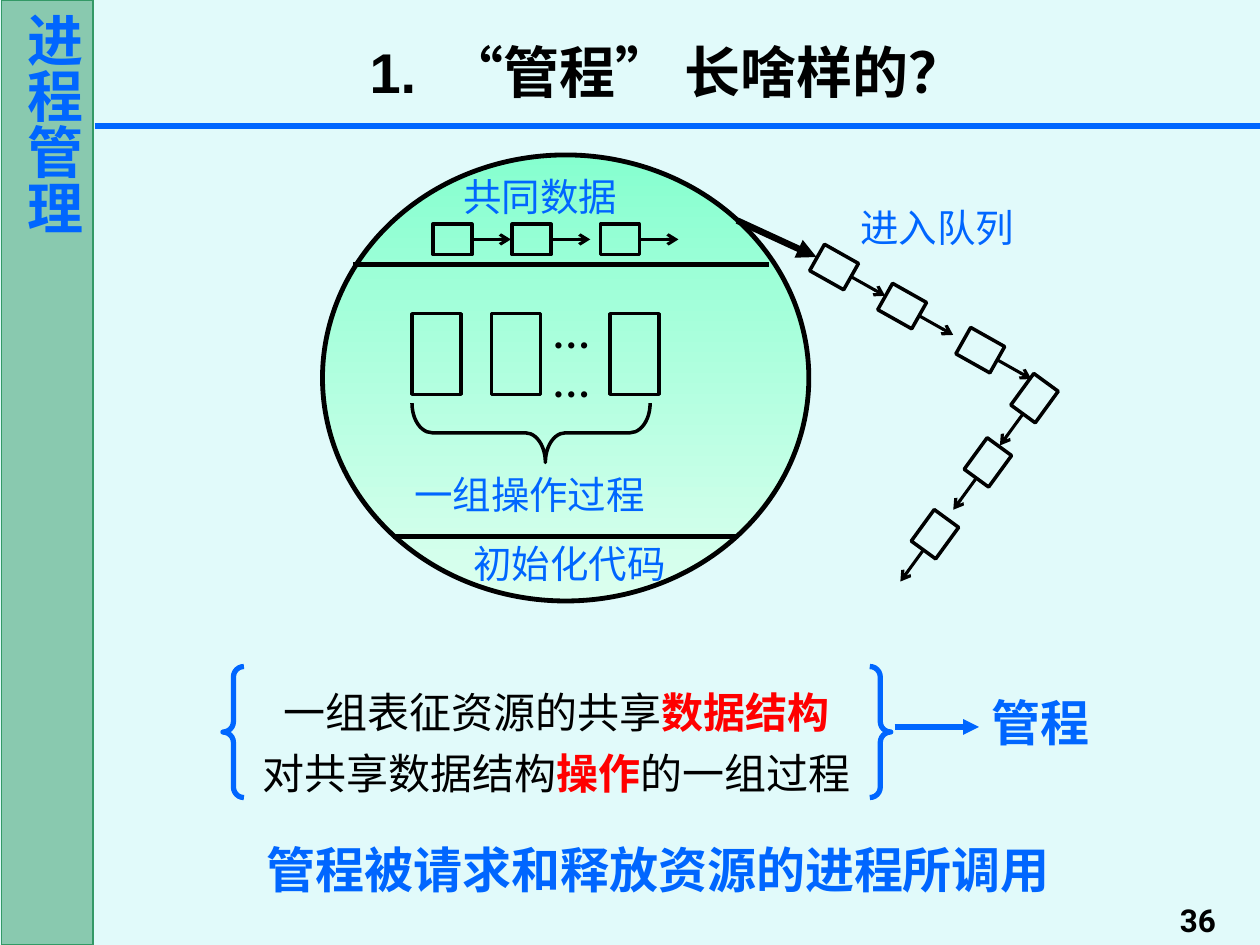
from dataclasses import dataclass
from math import cos, radians, sin
from typing import NamedTuple, Optional

from lxml.etree import SubElement
from pptx import Presentation
from pptx.dml.color import RGBColor
from pptx.enum.shapes import MSO_CONNECTOR, MSO_SHAPE
from pptx.enum.text import MSO_ANCHOR, PP_ALIGN
from pptx.oxml.ns import qn
from pptx.util import Inches, Pt


@dataclass(frozen=True)
class Theme:
    background: str = "E1FAFA"
    blue: str = "0066FF"
    black: str = "000000"
    red: str = "FF0000"
    green: str = "339966"
    gradient: tuple = ("86FFCF", "DCFFEF")
    cjk_font: str = "Noto Sans CJK SC"
    title_size: int = 32
    key_size: int = 28
    body_size: int = 24
    label_size: int = 22
    number_size: int = 18


class Area(NamedTuple):
    left: float
    top: float
    width: float
    height: float


class Point(NamedTuple):
    x: float
    y: float


class Span(NamedTuple):
    text: str
    color: str
    bold: bool


class TextStyle(NamedTuple):
    size: int
    color: str
    font: str = "Noto Sans CJK SC"
    bold: bool = False
    align: Optional[PP_ALIGN] = None
    spacing: Optional[float] = None
    anchor: MSO_ANCHOR = MSO_ANCHOR.TOP


class QueueNode(NamedTuple):
    """One queue cell: its centre and the direction its arrow points."""
    center: Point
    angle: float


THEME = Theme()
LABEL = TextStyle(THEME.label_size, THEME.blue, spacing=1.05)
NODE_WIDTH, NODE_HEIGHT, LINK_LENGTH = 0.31, 0.24, 0.31

QUEUE = [
    *(QueueNode(Point(x, 1.9), 0) for x in (3.59, 4.22, 4.92)),
    *(QueueNode(Point(x, y), 29.4) for x, y in ((6.62, 2.12), (7.16, 2.43), (7.78, 2.78))),
    *(QueueNode(Point(x, y), 126.1) for x, y in ((8.21, 3.16), (7.84, 3.67), (7.42, 4.24))),
]

LABELS = [
    ("共同数据", Area(3.58, 1.31, 1.5, 0.47)),
    ("一组操作过程", Area(3.19, 3.67, 2.13, 0.47)),
    ("初始化代码", Area(3.66, 4.22, 1.81, 0.47)),
    ("进入队列", Area(6.73, 1.55, 2.13, 0.47)),
]


def rgb(color: str) -> RGBColor:
    return RGBColor.from_string(color)


def emu(area: Area) -> list:
    return [Inches(length) for length in area]


def style_paragraph(para, style: TextStyle) -> None:
    if style.align is not None:
        para.alignment = style.align
    if style.spacing is not None:
        para.line_spacing = style.spacing
    font = para.font
    font.size, font.bold, font.name = Pt(style.size), style.bold, style.font
    font.color.rgb = rgb(style.color)
    SubElement(font._element, qn("a:ea")).set("typeface", THEME.cjk_font)


def set_margins(frame, horizontal: float, vertical: float) -> None:
    frame.margin_left = frame.margin_right = Inches(horizontal)
    frame.margin_top = frame.margin_bottom = Inches(vertical)


def add_text(page, text: str, area: Area, style: TextStyle) -> None:
    frame = page.shapes.add_textbox(*emu(area)).text_frame
    frame.word_wrap = True
    frame.vertical_anchor = style.anchor
    para = frame.paragraphs[0]
    para.add_run().text = text
    style_paragraph(para, style)


def add_outline(page, kind: MSO_SHAPE, area: Area, weight: float = 2,
                color: str = THEME.black, angle: float = 0):
    """Add an unfilled preset shape."""
    shape = page.shapes.add_shape(kind, *emu(area))
    shape.shadow.inherit = False
    shape.fill.background()
    shape.line.color.rgb = rgb(color)
    shape.line.width = Pt(weight)
    shape.rotation = angle
    return shape


def add_line(page, start: Point, end: Point, weight: float,
             color: str = THEME.black, head: str = "") -> None:
    """Add a straight line, with an arrowhead at its end if one is named."""
    line = page.shapes.add_connector(MSO_CONNECTOR.STRAIGHT, *emu((*start, *end)))
    line.line.color.rgb = rgb(color)
    line.line.width = Pt(weight)
    if head:
        SubElement(line.line._get_or_add_ln(), qn("a:tailEnd")).set("type", head)
    SubElement(line._element.spPr, qn("a:effectLst"))


def add_node(page, node: QueueNode) -> None:
    x, y = node.center
    area = Area(x - NODE_WIDTH / 2, y - NODE_HEIGHT / 2, NODE_WIDTH, NODE_HEIGHT)
    add_outline(page, MSO_SHAPE.RECTANGLE, area, angle=node.angle)
    across, down = cos(radians(node.angle)), sin(radians(node.angle))
    start, end = (Point(x + reach * across, y + reach * down)
                  for reach in (NODE_WIDTH / 2, NODE_WIDTH / 2 + LINK_LENGTH))
    add_line(page, start, end, 1.75, head="arrow")


def add_sidebar(page) -> None:
    bar = add_outline(page, MSO_SHAPE.RECTANGLE, Area(0.01, 0, 0.73, 7.5), 0.75, THEME.green)
    bar.fill.solid()
    bar.fill.fore_color.rgb = rgb(THEME.green)
    color = bar._element.spPr.find(qn("a:solidFill")).find(qn("a:srgbClr"))
    SubElement(color, qn("a:alpha")).set("val", "50000")
    frame = bar.text_frame
    set_margins(frame, 0.05, 0.1)
    frame.vertical_anchor = MSO_ANCHOR.TOP
    frame._txBody.bodyPr.set("vert", "eaVert")
    para = frame.paragraphs[0]
    para.add_run().text = "进程管理"
    style_paragraph(para, TextStyle(THEME.title_size, THEME.blue, "Roboto", True, PP_ALIGN.CENTER))


def add_monitor(page) -> None:
    ellipse = add_outline(page, MSO_SHAPE.OVAL, Area(2.56, 1.23, 3.86, 3.54), 2.75)
    ellipse.fill.gradient()
    ellipse.fill.gradient_angle = 270
    for position, (stop, color) in enumerate(zip(ellipse.fill.gradient_stops, THEME.gradient)):
        stop.color.rgb = rgb(color)
        stop.position = position
    add_line(page, Point(2.8, 2.1), Point(6.1, 2.1), 3)
    add_line(page, Point(3.12, 4.26), Point(5.85, 4.26), 3)
    for left in (3.27, 3.9, 4.84):
        add_outline(page, MSO_SHAPE.RECTANGLE, Area(left, 2.49, 0.39, 0.64))
    add_text(page, "……", Area(4.29, 2.49, 0.79, 0.36),
             LABEL._replace(color=THEME.black, bold=True))
    brace = add_outline(page, MSO_SHAPE.RIGHT_BRACE, Area(3.98, 2.49, 0.47, 1.89), angle=90)
    brace.adjustments[0], brace.adjustments[1] = 0.34, 0.44


def add_definition(page) -> None:
    braces = add_outline(page, MSO_SHAPE.DOUBLE_BRACE, Area(1.77, 5.29, 5.3, 1.04), 3, THEME.blue)
    braces.adjustments[0] = 0.08
    frame = braces.text_frame
    set_margins(frame, 0.06, 0.01)
    frame.vertical_anchor = MSO_ANCHOR.MIDDLE
    para = frame.paragraphs[0]
    lines = [
        [Span("一组表征资源的共享", THEME.black, False), Span("数据结构", THEME.red, True)],
        [Span("对共享数据结构", THEME.black, False), Span("操作", THEME.red, True),
         Span("的一组过程", THEME.black, False)],
    ]
    for index, line in enumerate(lines):
        if index:
            para.add_line_break()
        for span in line:
            run = para.add_run()
            run.text = span.text
            run.font.bold = span.bold
            run.font.color.rgb = rgb(span.color)
    style_paragraph(para, TextStyle(THEME.body_size, THEME.black, "Times New Roman",
                                    align=PP_ALIGN.CENTER, spacing=1.2))
    add_line(page, Point(7.1, 5.77), Point(7.77, 5.77), 3, THEME.blue, "triangle")
    key = TextStyle(THEME.key_size, THEME.blue, bold=True)
    add_text(page, "管程", Area(7.77, 5.45, 1.17, 0.57), key)
    add_text(page, "管程被请求和释放资源的进程所调用", Area(1.85, 6.59, 6.75, 0.59),
             key._replace(font="Times New Roman", align=PP_ALIGN.CENTER, spacing=1.05))


def main() -> None:
    deck = Presentation()
    deck.slide_width, deck.slide_height = Inches(10), Inches(7.5)
    page = deck.slides.add_slide(deck.slide_layouts[6])
    page.background.fill.solid()
    page.background.fill.fore_color.rgb = rgb(THEME.background)

    add_sidebar(page)
    add_text(page, "36", Area(8.75, 7, 1, 0.5),
             TextStyle(THEME.number_size, THEME.black, "Roboto", True, PP_ALIGN.RIGHT,
                       anchor=MSO_ANCHOR.BOTTOM))
    add_text(page, "1.  “管程” 长啥样的？", Area(1.67, 0.25, 7.25, 0.63),
             TextStyle(THEME.title_size, THEME.black, "Arial", True, PP_ALIGN.CENTER,
                       anchor=MSO_ANCHOR.MIDDLE))
    add_line(page, Point(0.75, 1), Point(10, 1), 3, THEME.blue)
    add_definition(page)
    add_monitor(page)
    for node in QUEUE:
        add_node(page, node)
    add_line(page, Point(5.85, 1.75), Point(6.48, 2.04), 3.75, head="triangle")
    for text, area in LABELS:
        add_text(page, text, area, LABEL)
    deck.save("out.pptx")


if __name__ == "__main__":
    main()
